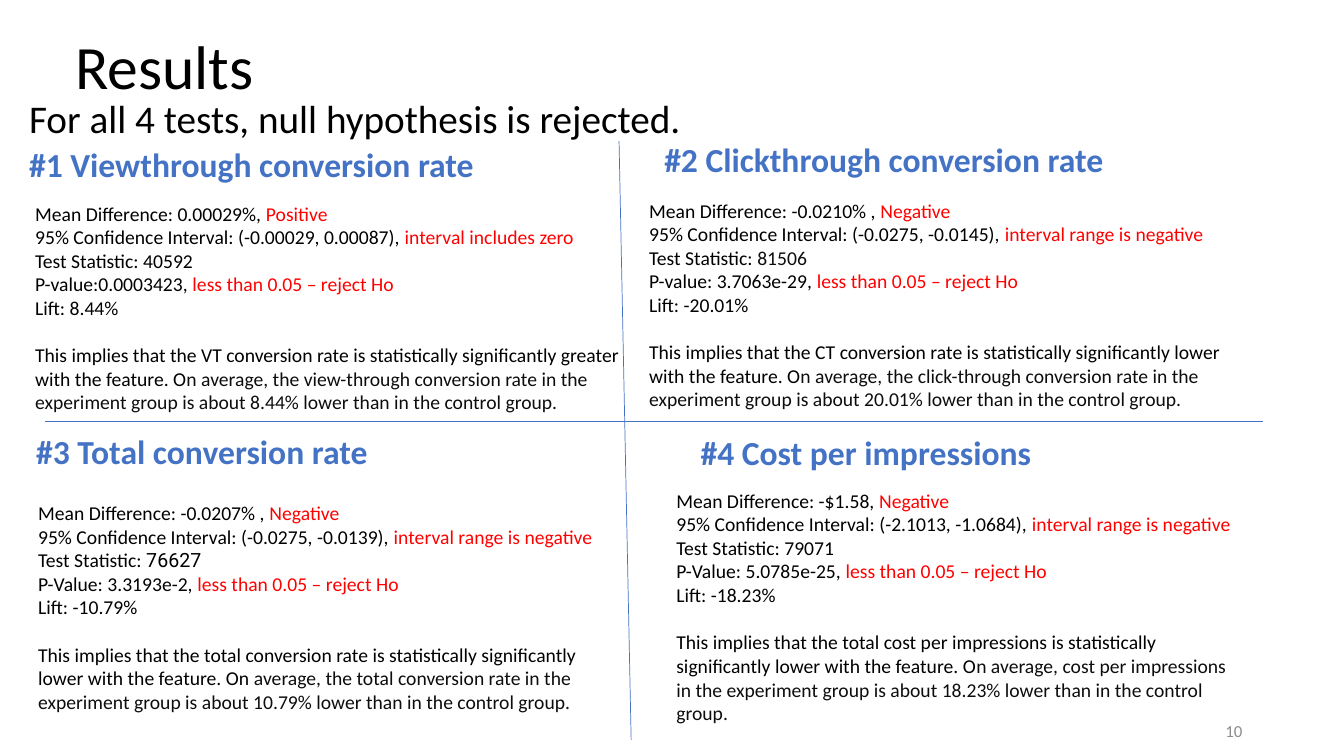
from dataclasses import dataclass

from lxml import etree
from pptx import Presentation
from pptx.dml.color import RGBColor
from pptx.enum.shapes import MSO_CONNECTOR
from pptx.enum.text import MSO_ANCHOR, MSO_AUTO_SIZE, PP_ALIGN
from pptx.oxml.ns import qn
from pptx.util import Inches, Pt

STRAIGHT = MSO_CONNECTOR.STRAIGHT
TOP, MIDDLE = MSO_ANCHOR.TOP, MSO_ANCHOR.MIDDLE
LEFT, RIGHT = PP_ALIGN.LEFT, PP_ALIGN.RIGHT
GROW = MSO_AUTO_SIZE.SHAPE_TO_FIT_TEXT


@dataclass(frozen=True)
class Theme:
    """Colours, fonts and type sizes of the slide."""
    font: str = "Calibri"
    figure_font: str = "Roboto"
    ink: RGBColor = RGBColor(0, 0, 0)
    soft_ink: RGBColor = RGBColor(0x0D, 0x0D, 0x0D)
    accent: RGBColor = RGBColor(0x44, 0x72, 0xC4)
    verdict: RGBColor = RGBColor(0xFF, 0, 0)
    muted: RGBColor = RGBColor(0x8C, 0x8C, 0x8C)
    title: int = 44
    subtitle: int = 28
    heading: int = 24
    body: int = 14
    number: int = 12
    rule: float = 0.5
    conclusion_gap: float = 17.1


THEME = Theme()


@dataclass(frozen=True)
class Test:
    """Findings of one test, with the boxes of its heading and its body."""
    heading: str
    heading_box: tuple
    body_box: tuple
    mean: str
    sign: str
    interval: str
    interval_note: str
    statistic: str
    p_value: str
    lift: str
    implies: str
    average: str
    statistic_color: RGBColor = THEME.ink
    statistic_font: str = THEME.font


TESTS = [
    Test("#1 Viewthrough conversion rate", (0.19, 1.38, 5.66, 0.5), (0.25, 1.95, 6.01, 2.22),
         "0.00029%, ", "Positive", "-0.00029, 0.00087", "interval includes zero",
         "40592", "P-value:0.0003423, ", "8.44%",
         "This implies that the VT conversion rate is statistically significantly "
         "greater with the feature. O",
         "n average, the view-through conversion rate in the experiment group is "
         "about 8.44% lower than in the control group."),
    Test("#2 Clickthrough conversion rate", (6.49, 1.33, 5.66, 0.5), (6.34, 1.92, 6.1, 2.22),
         "-0.0210% , ", "Negative", "-0.0275, -0.0145", "interval range is negative",
         "81506", "P-value: 3.7063e-29, ", "-20.01%",
         "This implies that the CT conversion rate is statistically significantly "
         "lower with the feature. O",
         "n average, the click-through conversion rate in the experiment group is "
         "about 20.01% lower than in the control group.",
         statistic_color=THEME.soft_ink),
    Test("#3 Total conversion rate", (0.26, 4.23, 5.66, 0.5), (0.28, 4.92, 5.74, 2.22),
         "-0.0207% , ", "Negative", "-0.0275, -0.0139", "interval range is negative",
         "76627", "P-Value: 3.3193e-2, ", "-10.79%",
         "This implies that the total conversion rate is statistically significantly "
         "lower with the feature. On ",
         "average, the total conversion rate in the experiment group is "
         "about 10.79% lower than in the control group.",
         statistic_font=THEME.figure_font),
    Test("#4 Cost per impressions", (6.85, 4.24, 5.66, 0.5), (6.61, 4.8, 5.74, 2.46),
         "-$1.58, ", "Negative", "-2.1013, -1.0684", "interval range is negative",
         "79071", "P-Value: 5.0785e-25, ", "-18.23%",
         "This implies that the total cost per impressions is statistically "
         "significantly lower with the feature. O",
         "n average, cost per impressions in the experiment group is "
         "about 18.23% lower than in the control group."),
]


def add_frame(page, box, anchor=TOP):
    """Add a wrapping text box and return its text frame."""
    frame = page.shapes.add_textbox(*map(Inches, box)).text_frame
    frame.word_wrap = True
    frame.vertical_anchor = anchor
    return frame


def set_font(font, size, color, bold=False):
    """Give a font the theme typeface with a size, colour and weight."""
    font.name, font.size, font.bold = THEME.font, Pt(size), bold
    font.color.rgb = color


def add_label(page, box, text, size, color=THEME.ink, bold=False,
              anchor=TOP, align=LEFT, spacing=1.0):
    """Add a one-paragraph text box and return its text frame."""
    frame = add_frame(page, box, anchor)
    para = frame.paragraphs[0]
    para.text, para.alignment, para.line_spacing = text, align, spacing
    set_font(para.font, size, color, bold)
    return frame


def add_rule(page, start, end):
    """Draw a thin divider between two points."""
    rule = page.shapes.add_connector(STRAIGHT, *map(Inches, start + end))
    rule.line.color.rgb = THEME.accent
    rule.line.width = Pt(THEME.rule)
    etree.SubElement(rule.element.spPr, qn("a:effectLst"))


def add_test(page, test):
    """Place the heading and the findings of one test."""
    heading = add_label(page, test.heading_box, test.heading, THEME.heading,
                        THEME.accent, bold=True)
    heading.auto_size = GROW
    plain, soft, red = THEME.ink, THEME.soft_ink, THEME.verdict
    lines = [
        [("Mean Difference: " + test.mean, plain), (test.sign, red)],
        [(f"95% Confidence Interval: ({test.interval}), ", plain), (test.interval_note, red)],
        [("Test Statistic: ", plain), (test.statistic, test.statistic_color)],
        [(test.p_value, plain), ("less than 0.05 – reject Ho", red)],
        [("Lift: " + test.lift, plain)],
        [(test.implies, plain), (test.average, soft)],
    ]
    frame = add_frame(page, test.body_box)
    frame.auto_size = GROW
    for index, line in enumerate(lines):
        para = frame.add_paragraph() if index else frame.paragraphs[0]
        set_font(para.font, THEME.body, plain)
        for text, color in line:
            span = para.add_run()
            span.text = text
            span.font.color.rgb = color
            if text == test.statistic:
                span.font.name = test.statistic_font
    para.space_before = Pt(THEME.conclusion_gap)


def add_results(page):
    """Lay out the title, the dividers, the four tests and the page number."""
    add_label(page, (0.65, -0.04, 11.5, 1.45), "Results", THEME.title,
              anchor=MIDDLE, spacing=0.9)
    add_label(page, (0.19, 0.94, 11.5, 0.66),
              "For all 4 tests, null hypothesis is rejected.", THEME.subtitle, spacing=0.9)
    add_rule(page, (0.45, 4.18), (12.53, 4.18))
    add_rule(page, (6.14, 1.4), (6.26, 7.34))
    for test in TESTS:
        add_test(page, test)
    add_label(page, (9.42, 7.05, 3, 0.4), "10", THEME.number, THEME.muted,
              anchor=MIDDLE, align=RIGHT)


def main():
    """Build the deck and save it."""
    deck = Presentation()
    deck.slide_width, deck.slide_height = Inches(13.33), Inches(7.5)
    add_results(deck.slides.add_slide(deck.slide_layouts[6]))
    deck.save("out.pptx")


if __name__ == "__main__":
    main()
